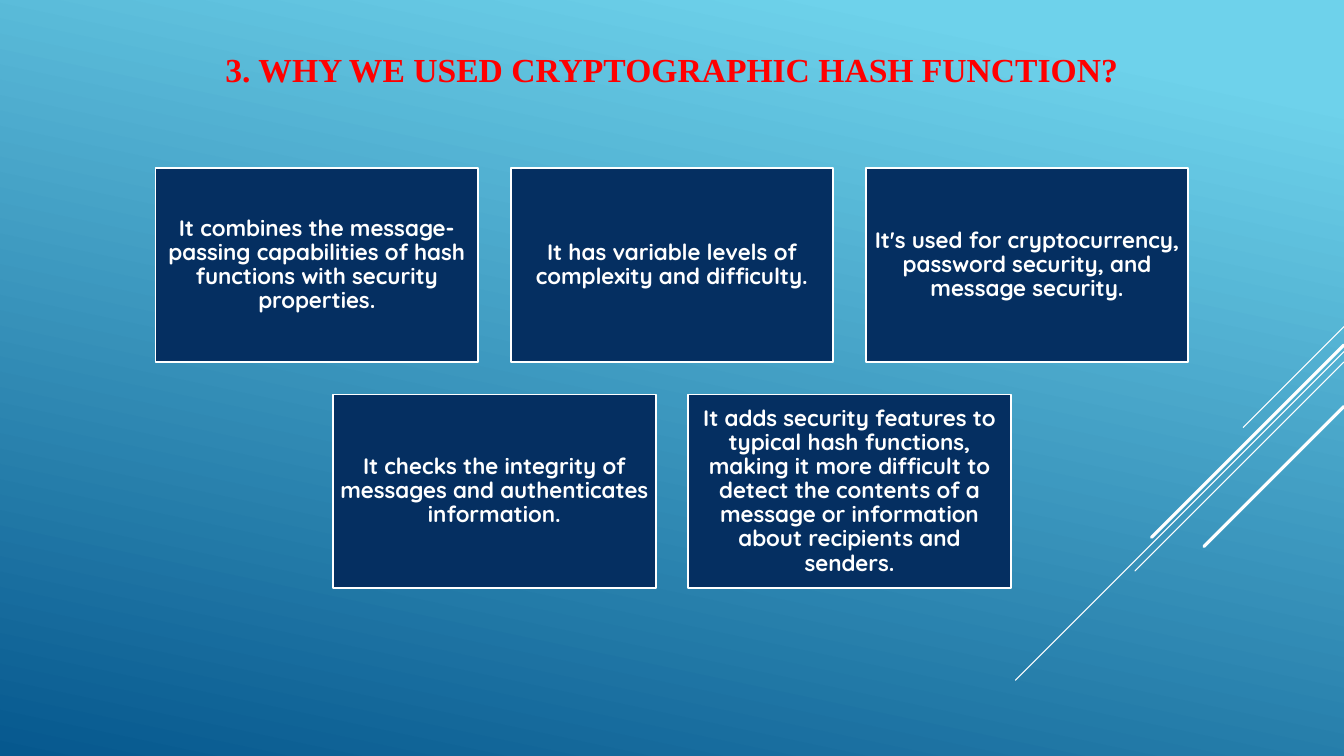
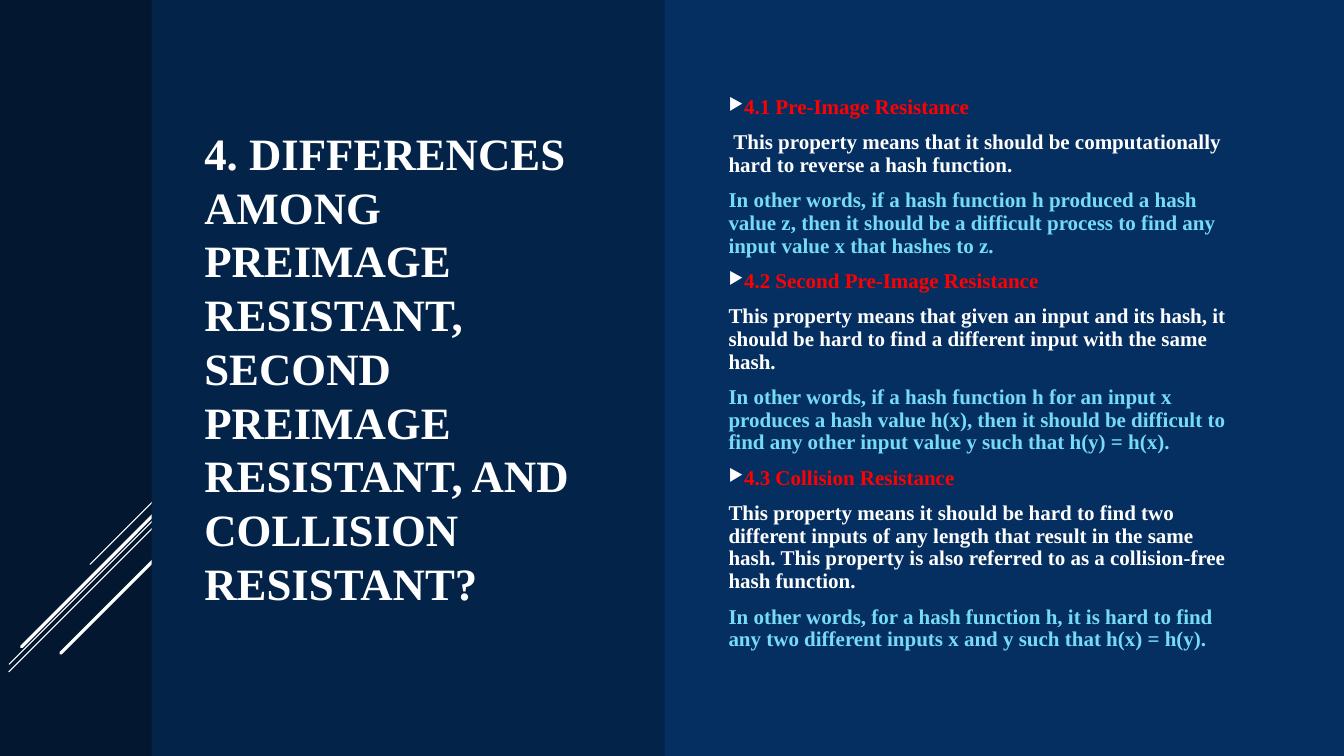
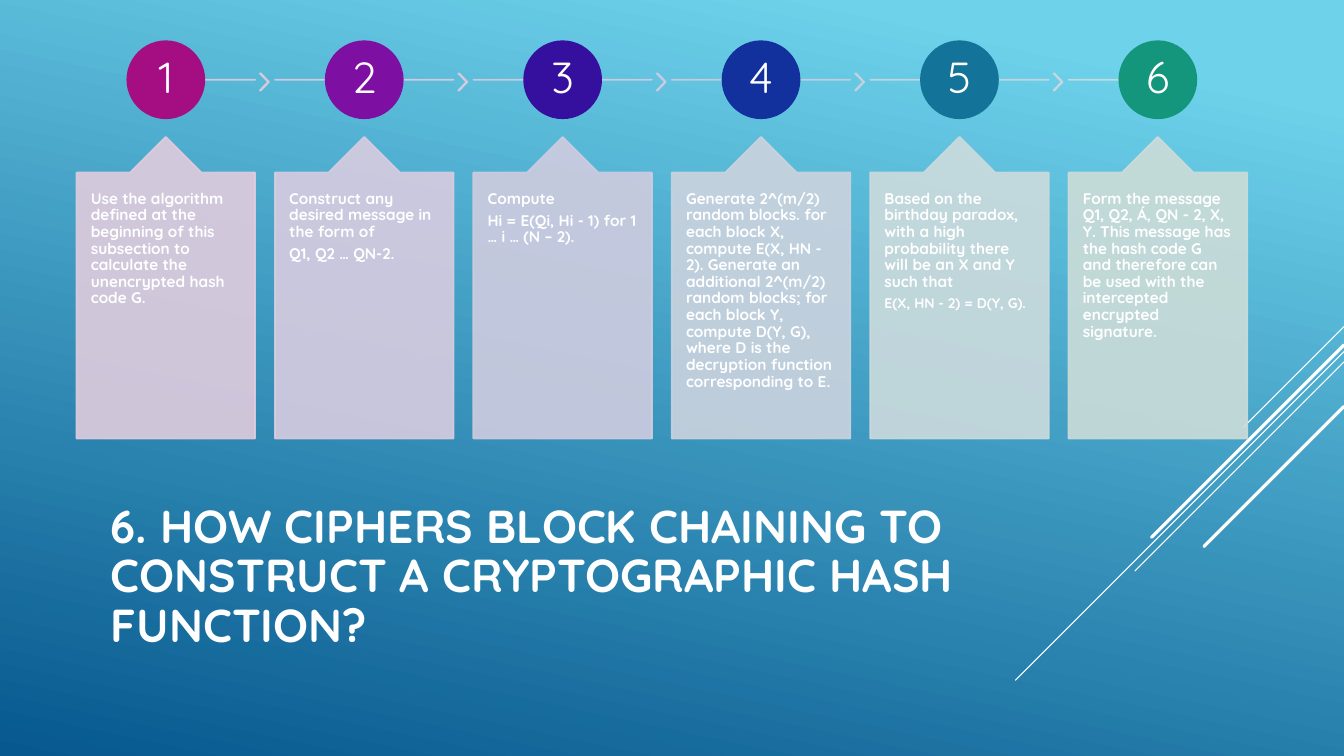
from lxml.etree import SubElement
from pptx import Presentation
from pptx.dml.color import RGBColor
from pptx.enum.shapes import MSO_CONNECTOR, MSO_SHAPE
from pptx.enum.text import MSO_ANCHOR, PP_ALIGN
from pptx.oxml.ns import qn
from pptx.util import Cm, Pt

WHITE = RGBColor(0xFF, 0xFF, 0xFF)
RED = RGBColor(0xFF, 0x00, 0x00)
SKY = RGBColor(0x6E, 0xD2, 0xEB)
OCEAN = RGBColor(0x06, 0x58, 0x8E)
AQUA = RGBColor(0x76, 0xDB, 0xF4)
NAVY = RGBColor(0x05, 0x2F, 0x61)
DEEP_NAVY = RGBColor(0x04, 0x23, 0x49)
MIDNIGHT = RGBColor(0x03, 0x17, 0x30)

SERIF, SANS = "Times New Roman", "Quicksand"
PAGE_WIDTH, PAGE_HEIGHT = 33.87, 19.05
MIDDLE = {"vertical_anchor": MSO_ANCHOR.MIDDLE}
CENTRED = {"alignment": PP_ALIGN.CENTER, "line_spacing": 0.9}


def apply(target, values):
    """Set every named value as an attribute of the target."""
    for name, value in values.items():
        setattr(target, name, value)


def margins(horizontal, vertical):
    """Return text frame margins, given in centimetres."""
    return {"margin_left": Cm(horizontal), "margin_right": Cm(horizontal),
            "margin_top": Cm(vertical), "margin_bottom": Cm(vertical)}


def font(name, size, bold=True):
    """Return the font values of a span."""
    return {"name": name, "size": Pt(size), "bold": bold}


class Deck:
    """Holds the shared style and the current slide."""

    def __init__(self):
        """Start an empty widescreen deck."""
        self.presentation = Presentation()
        apply(self.presentation,
              {"slide_width": Cm(PAGE_WIDTH), "slide_height": Cm(PAGE_HEIGHT)})
        self.page = None

    def add_page(self):
        """Add a blank slide and make it current."""
        blank = self.presentation.slide_layouts[6]
        self.page = self.presentation.slides.add_slide(blank)

    def add_sky_page(self):
        """Add a slide with the blue gradient and the rays at its right edge."""
        self.add_page()
        fill = self.page.background.fill
        fill.gradient()
        fill.gradient_angle = 258
        for stop, (position, color) in zip(fill.gradient_stops, ((0.1, SKY), (1, OCEAN))):
            stop.position = position
            stop.color.rgb = color
        self.rays(PAGE_WIDTH, ((8.23, 2.54), (8.86, 8.28), (9.12, 5.27),
                               (8.69, 4.85), (10.24, 3.53)))

    def rays(self, right, rays):
        """Draw three thin and two thick diagonals, each a (top, reach) pair."""
        for (top, reach), width in zip(rays, (0.75, 0.75, 0.75, 2.25, 2.25)):
            self.line((right, top), (right - reach, top + reach), WHITE, width)

    def line(self, start, end, color, width, opacity=100):
        """Draw a straight line with round ends."""
        line = self.page.shapes.add_connector(
            MSO_CONNECTOR.STRAIGHT, *(Cm(value) for value in start + end))
        line.line.color.rgb = color
        line.line.width = Pt(width)
        properties = line._element.spPr
        properties.find(qn("a:ln")).set("cap", "rnd")
        SubElement(properties, qn("a:effectLst"))
        self.fade(line, opacity)

    def shape(self, kind, place, color, outline=None, opacity=100, adjustments=()):
        """Draw a filled preset shape at (left, top, width, height)."""
        shape = self.page.shapes.add_shape(kind, *(Cm(value) for value in place))
        shape.shadow.inherit = False
        shape.fill.solid()
        shape.fill.fore_color.rgb = color
        if outline is None:
            shape.line.fill.background()
        else:
            shape.line.color.rgb = outline
            shape.line.width = Pt(1.25)
        for index, value in enumerate(adjustments):
            shape.adjustments[index] = value
        self.fade(shape, opacity)
        return shape

    def fade(self, shape, opacity):
        """Give the colours of a shape an opacity in percent."""
        if opacity < 100:
            for color in shape._element.spPr.iter(qn("a:srgbClr")):
                SubElement(color, qn("a:alpha"), val=str(opacity * 1000))

    def box(self, place):
        """Add an empty text box."""
        return self.page.shapes.add_textbox(*(Cm(value) for value in place))

    def put_text(self, box, texts, letters, frame=None, layout=None, color=WHITE):
        """Put one paragraph per text in a box and return the paragraphs."""
        text_frame = box.text_frame
        apply(text_frame, {"word_wrap": True, **(frame or {})})
        paras = []
        for text in texts:
            para = text_frame.add_paragraph() if paras else text_frame.paragraphs[0]
            apply(para, {"alignment": PP_ALIGN.LEFT, **(layout or {})})
            span = para.add_run()
            span.text = text
            apply(span.font, letters)
            span.font.color.rgb = color
            paras.append(para)
        return paras

    def bullet(self, para):
        """Put a white triangle before a paragraph."""
        properties = para._p.get_or_add_pPr()
        properties.set("marL", "0")
        properties.set("indent", str(-Cm(0.79)))
        color = SubElement(properties, qn("a:buClr"))
        SubElement(color, qn("a:srgbClr"), val=str(WHITE))
        SubElement(properties, qn("a:buSzPct"), val="80000")
        SubElement(properties, qn("a:buChar"), char="▶")


def build_reasons(deck):
    """Build the slide with five reason cards in two centred rows."""
    deck.add_sky_page()
    deck.put_text(deck.box((5.08, 0.1, 23.7, 4.19)),
                  ["3. WHY WE USED CRYPTOGRAPHIC HASH FUNCTION?"], font(SERIF, 24),
                  {**MIDDLE, "margin_bottom": Cm(1.05)}, {"alignment": PP_ALIGN.CENTER}, RED)
    width, height, gap = 8.13, 4.88, 0.82
    rows = (
        ("It combines the message-passing capabilities of hash functions with "
         "security properties.",
         "It has variable levels of complexity and difficulty.",
         "It's used for cryptocurrency, password security, and message security."),
        ("It checks the integrity of messages and authenticates information.",
         "It adds security features to typical hash functions, making it more difficult "
         "to detect the contents of a message or information about recipients and senders."),
    )
    for row, reasons in enumerate(rows):
        left = (PAGE_WIDTH - len(reasons) * (width + gap) + gap) / 2
        for column, reason in enumerate(reasons):
            place = (left + column * (width + gap), 4.24 + row * (height + gap), width, height)
            card = deck.shape(MSO_SHAPE.RECTANGLE, place, NAVY, WHITE)
            deck.put_text(card, [reason], font(SANS, 16),
                          {**MIDDLE, **margins(0.17, 0.17)}, CENTRED)


def build_differences(deck):
    """Build the slide that compares three kinds of resistance."""
    deck.add_page()
    deck.shape(MSO_SHAPE.RECTANGLE, (0, 0, PAGE_WIDTH, PAGE_HEIGHT), NAVY)
    deck.shape(MSO_SHAPE.RECTANGLE, (0, 0, 3.99, PAGE_HEIGHT), MIDNIGHT)
    deck.rays(4.17, ((12.32, 1.9), (12.8, 3.94), (12.98, 3.95), (12.67, 3.63), (13.82, 2.64)))
    deck.shape(MSO_SHAPE.RECTANGLE, (3.82, 0, 12.93, PAGE_HEIGHT), DEEP_NAVY)
    deck.put_text(deck.box((4.9, 1.88, 10.29, 14.76)),
                  ["4. DIFFERENCES AMONG PREIMAGE RESISTANT, SECOND PREIMAGE RESISTANT, "
                   "AND COLLISION RESISTANT?"], font(SERIF, 32), MIDDLE)
    topics = (
        "4.1 Pre-Image Resistance",
        " This property means that it should be computationally hard to reverse a hash function.",
        "In other words, if a hash function h produced a hash value z, then it should be a "
        "difficult process to find any input value x that hashes to z.",
        "4.2 Second Pre-Image Resistance",
        "This property means that given an input and its hash, it should be hard to find a "
        "different input with the same hash.",
        "In other words, if a hash function h for an input x produces a hash value h(x), then "
        "it should be difficult to find any other input value y such that h(y) = h(x).",
        "4.3 Collision Resistance",
        "This property means it should be hard to find two different inputs of any length that "
        "result in the same hash. This property is also referred to as a collision-free hash "
        "function.",
        "In other words, for a hash function h, it is hard to find any two different inputs x "
        "and y such that h(x) = h(y).",
    )
    paras = deck.put_text(deck.box((18.11, 1.9, 13.21, 15.04)), topics, font(SERIF, 15), MIDDLE,
                          {"line_spacing": 0.9, "space_before": Pt(3), "space_after": Pt(6)})
    for heading in paras[::3]:
        heading.runs[0].font.color.rgb = RED
        deck.bullet(heading)
    for explanation in paras[2::3]:
        explanation.runs[0].font.color.rgb = AQUA


def build_steps(deck):
    """Build the slide with six numbered steps."""
    deck.add_sky_page()
    deck.put_text(deck.box((1.9, 12.47, 23.7, 4.19)),
                  ["6. HOW CIPHERS BLOCK CHAINING TO CONSTRUCT A CRYPTOGRAPHIC HASH FUNCTION?"],
                  font(SANS, 33), {**MIDDLE, "margin_left": Cm(0.89)}, {"line_spacing": 0.9})
    # Colours: circle, line, chevron, callout.
    steps = (
        ("A50E82 E1CCD8 E0CCDB E0CCDE",
         ["Use the algorithm defined at the beginning of this subsection to calculate the "
          "unencrypted hash code G."]),
        ("7D0FA2 DFCCE0 DBCCE0 D8CCE0",
         ["Construct any desired message in the form of", "Q1, Q2 … QN-2."]),
        ("35109F D5CCDF D2CCDF CFCCDF",
         ["Compute", "Hi = E(Qi, Hi - 1) for 1 … i … (N – 2)."]),
        ("12319C CCCDDF CCD0DE CCD3DE",
         ["Generate 2^(m/2) random blocks. for each block X, compute E(X, HN - 2). Generate "
          "an additional 2^(m/2) random blocks; for each block Y, compute D(Y, G), where D is "
          "the decryption function corresponding to E."]),
        ("137399 CCD6DE CCD8DE CCDBDD",
         ["Based on the birthday paradox, with a high probability there will be an X and Y "
          "such that", "E(X, HN - 2) = D(Y, G)."]),
        ("14967C CCDDDD CCDDDD CCDDD8",
         ["Form the message Q1, Q2, Á, QN - 2, X, Y. This message has the hash code G and "
          "therefore can be used with the intercepted encrypted signature."]),
    )
    width, pitch, diameter, axis = 4.5, 5.0, 1.94, 2.01
    for index, (colors, texts) in enumerate(steps):
        circle_color, line_color, chevron_color, callout_color = map(
            RGBColor.from_string, colors.split())
        first, last = index == 0, index == len(steps) - 1
        left = 1.93 + index * pitch
        centre = left + width / 2
        deck.line((centre if first else left, axis),
                  (centre if last else left + width, axis), line_color, 1.25, 90)
        if not last:
            deck.shape(MSO_SHAPE.CHEVRON, (left + 4.62, 1.85, 0.23, 0.43),
                       chevron_color, chevron_color, 90, (0.9,))
        circle = deck.shape(MSO_SHAPE.OVAL, (centre - diameter / 2, axis - diameter / 2,
                                             diameter, diameter), circle_color, circle_color)
        deck.put_text(circle, [str(index + 1)], font(SANS, 31, False),
                      {**MIDDLE, **margins(0.08, 0.08)}, CENTRED)
        callout = deck.shape(MSO_SHAPE.UP_ARROW_CALLOUT, (left, 3.45, width, 7.6),
                             callout_color, callout_color, 90, (0.5, 0.2, 0.2, 1))
        paras = deck.put_text(callout, texts, font(SANS, 11),
                              {"vertical_anchor": MSO_ANCHOR.TOP, **margins(0.36, 0.46)},
                              {"line_spacing": 0.9, "space_after": Pt(3.85)})
        if texts[-1].startswith("E("):
            paras[-1].runs[0].font.size = Pt(10)


def main():
    """Build the deck and save it."""
    deck = Deck()
    for build in (build_reasons, build_differences, build_steps):
        build(deck)
    deck.presentation.save("out.pptx")


main()
